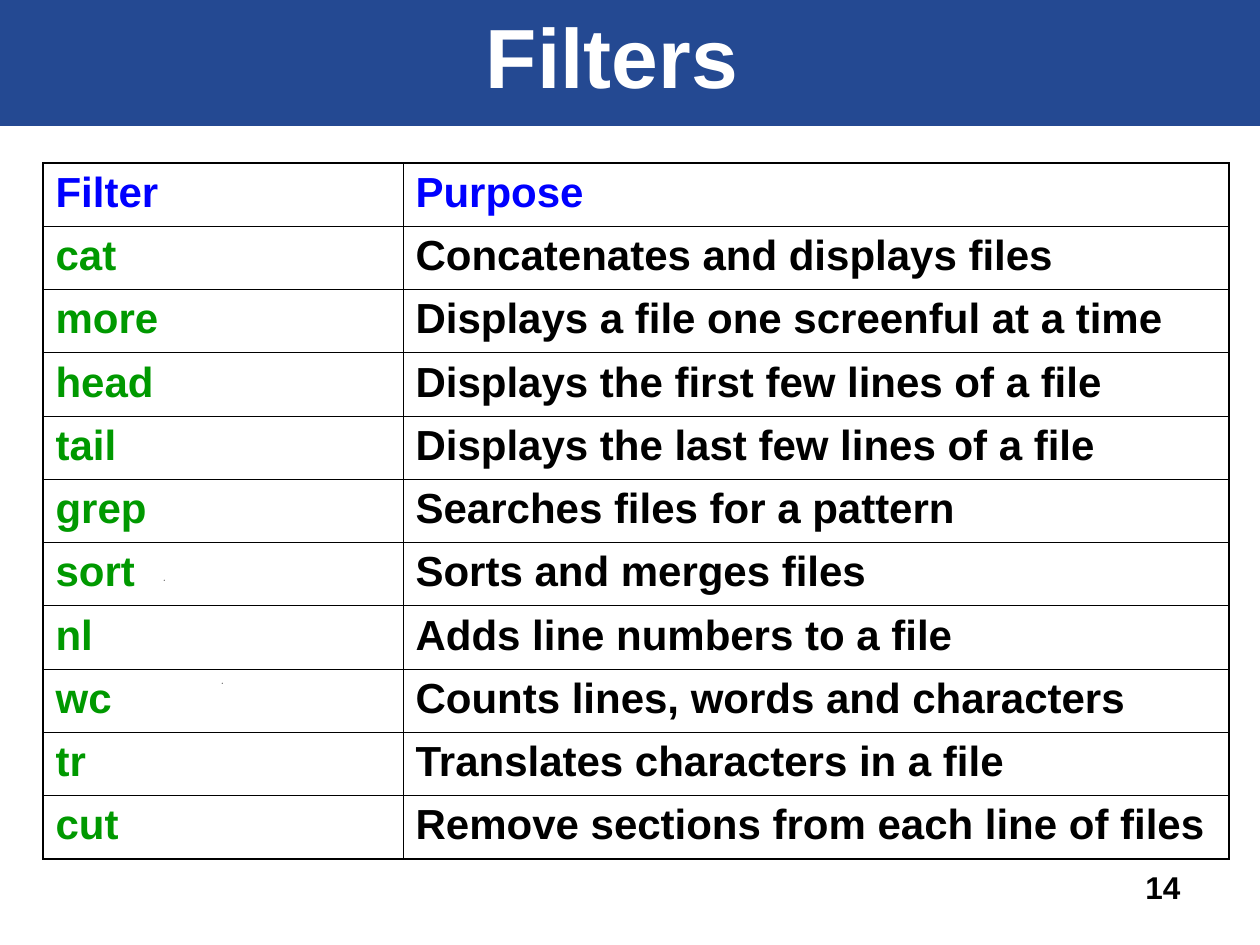
from lxml.etree import SubElement
from pptx import Presentation
from pptx.dml.color import RGBColor
from pptx.enum.shapes import MSO_SHAPE
from pptx.enum.text import MSO_ANCHOR, PP_ALIGN
from pptx.oxml.ns import qn
from pptx.util import Emu, Pt

PX = 914400 / 126
BLACK, WHITE, BAND = "000000", "FFFFFF", "244992"
HEADING, COMMAND = "0000FF", "009900"
THIN, THICK = 0.45, 1.08

FILTERS = [
    ("Filter", "Purpose"),
    ("cat", "Concatenates and displays files"),
    ("more", "Displays a file one screenful at a time"),
    ("head", "Displays the first few lines of a file"),
    ("tail", "Displays the last few lines of a file"),
    ("grep", "Searches files for a pattern"),
    ("sort", "Sorts and merges files"),
    ("nl", "Adds line numbers to a file"),
    ("wc", "Counts lines, words and characters"),
    ("tr", "Translates characters in a file"),
    ("cut", "Remove sections from each line of files"),
]


def px(n):
    return Emu(round(n * PX))


def rgb(color):
    return RGBColor.from_string(color)


class Deck:
    font = "Arial"

    def __init__(self, width, height):
        self.prs = Presentation()
        self.prs.slide_width, self.prs.slide_height = px(width), px(height)
        self.s = self.prs.slides.add_slide(self.prs.slide_layouts[6])

    def add_run(self, tf, text, size, color, **fmt):
        p = tf.paragraphs[0]
        for name, value in fmt.items():
            setattr(p, name, value)
        r = p.add_run()
        r.text = text
        style = {"name": self.font, "size": Pt(size), "bold": True}
        for name, value in style.items():
            setattr(r.font, name, value)
        r.font.color.rgb = rgb(color)

    def paint(self, sp, color):
        sp.shadow.inherit = False
        sp.fill.solid()
        sp.fill.fore_color.rgb = rgb(color)
        sp.line.fill.background()

    def rect(self, x, y, w, h, color):
        sp = self.s.shapes.add_shape(MSO_SHAPE.RECTANGLE, px(x), px(y), px(w), px(h))
        self.paint(sp, color)

    def speck(self, x, y, color):
        fb = self.s.shapes.build_freeform(x, y, scale=PX)
        fb.add_line_segments([(x + 1, y), (x, y + 1)], close=True)
        self.paint(fb.convert_to_shape(), color)

    def text(self, x, y, w, h, text, size, color, wrap=True,
             anchor=MSO_ANCHOR.TOP, **fmt):
        tf = self.s.shapes.add_textbox(px(x), px(y), px(w), px(h)).text_frame
        tf.word_wrap, tf.vertical_anchor = wrap, anchor
        self.add_run(tf, text, size, color, **fmt)

    def border(self, cell, widths):
        tcPr = cell._tc.get_or_add_tcPr()
        for side, width in zip(("lnL", "lnR", "lnT", "lnB"), widths):
            ln = SubElement(tcPr, qn(f"a:{side}"), w=str(int(Pt(width))))
            fill = SubElement(ln, qn("a:solidFill"))
            SubElement(fill, qn("a:srgbClr"), val=BLACK)

    def table(self, x, y, widths, height, rows, size):
        n, m = len(rows), len(widths)
        tbl = self.s.shapes.add_table(
            n, m, px(x), px(y), px(sum(widths)), px(height)).table
        tbl.first_row = tbl.horz_banding = False
        for col, width in zip(tbl.columns, widths):
            col.width = px(width)
        for i, row in enumerate(rows):
            tbl.rows[i].height = px(height / n)
            for j, text in enumerate(row):
                cell = tbl.cell(i, j)
                color = HEADING if i == 0 else (COMMAND, BLACK)[j]
                self.add_run(cell.text_frame, text, size, color)
                # Outer edges are thicker than inner ones
                outer = (j == 0, j == m - 1, i == 0, i == n - 1)
                self.border(cell, [THICK if edge else THIN for edge in outer])
                cell.fill.background()


def main():
    deck = Deck(1260, 945)

    # Background: specks and title band
    for x, y in [(222, 683), (164, 580), (712, 580)]:
        deck.speck(x, y, BLACK)
    deck.rect(0, 0, 1260, 126, BAND)

    # Slide number
    deck.text(1133, 862, 178, 50, "14", 18, BLACK, wrap=False)

    # Filters and their purposes
    deck.table(43, 163, (360, 826), 696, FILTERS, 24)

    # Title
    deck.text(55, 30, 1114, 84, "Filters", 48, WHITE, anchor=MSO_ANCHOR.BOTTOM,
              alignment=PP_ALIGN.CENTER, line_spacing=0.96)

    deck.prs.save("out.pptx")


if __name__ == "__main__":
    main()
